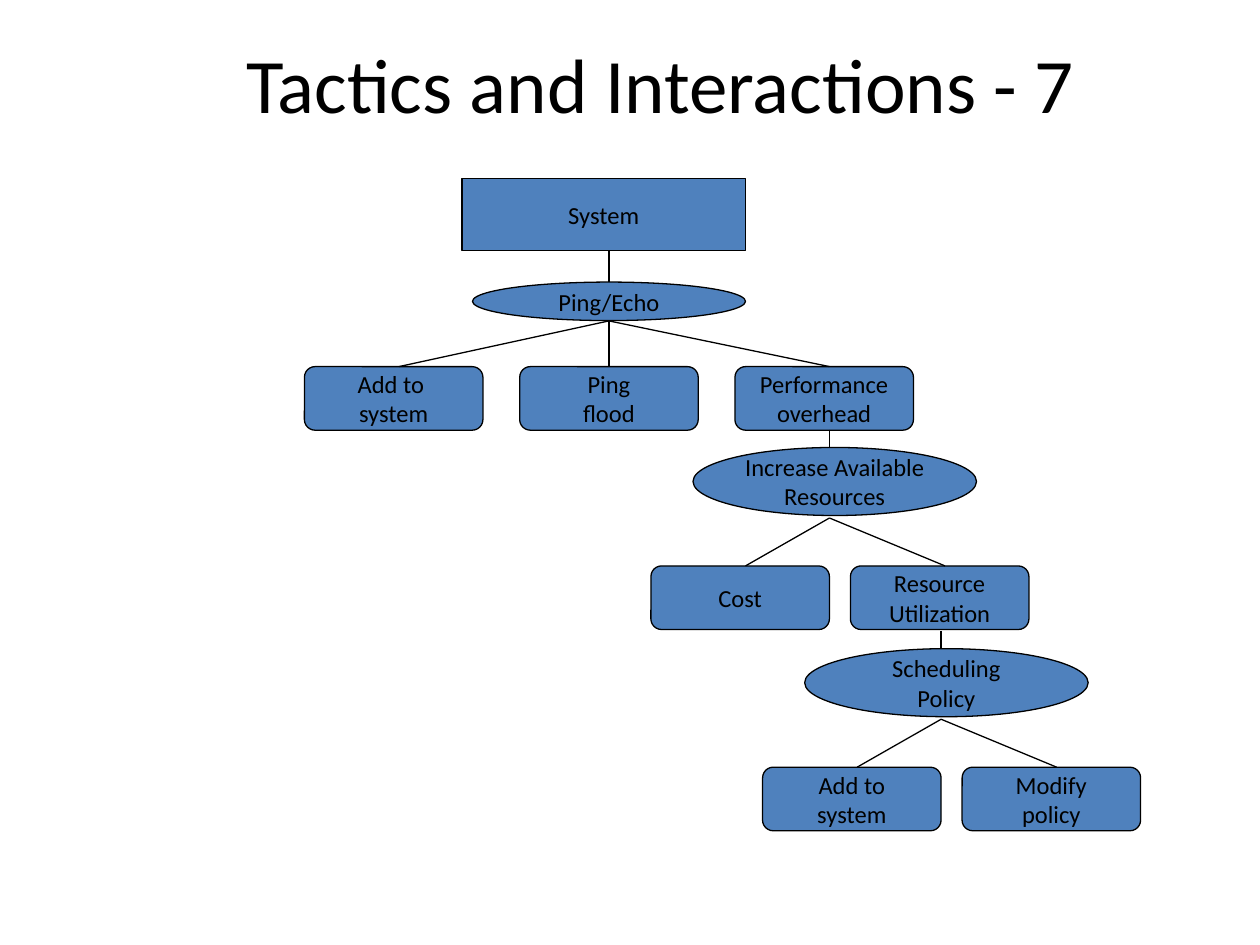
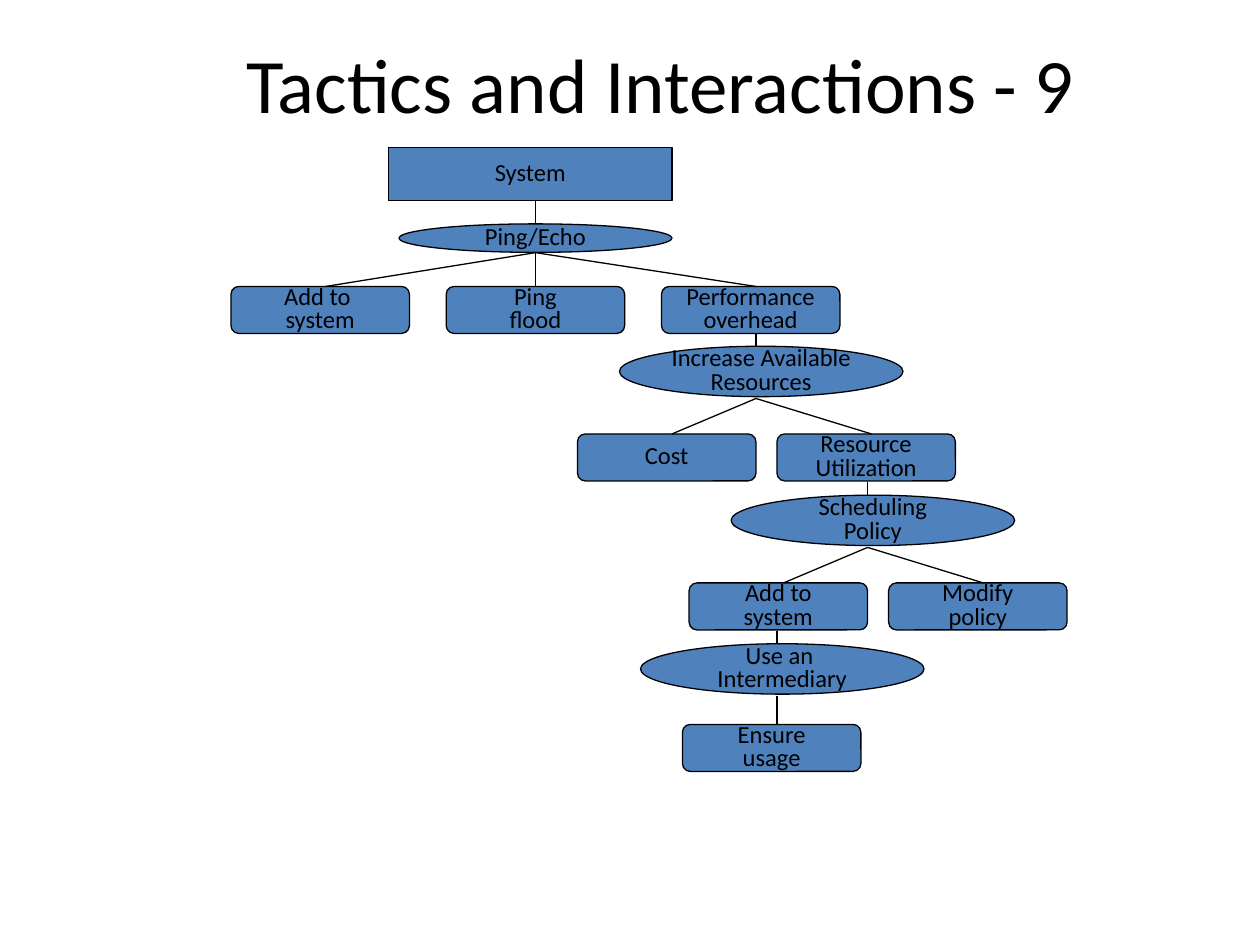
from dataclasses import dataclass
from typing import Any

from lxml import etree
from pptx import Presentation
from pptx import util as u
from pptx.dml import color as c
from pptx.enum import shapes as s, text as t
from pptx.oxml import ns

# Shared look
FONT, INK, BLUE = "Calibri", "000000", "4F81BD"
RECT = s.MSO_SHAPE.RECTANGLE
OVAL = s.MSO_SHAPE.OVAL
ROUND = s.MSO_SHAPE.ROUNDED_RECTANGLE

# Offsets of two children from the stem above them: (box left, line end)
LEFT, RIGHT, BELOW = (-102, -48), (12, 66), (-54, 0)


def rgb(code):
    return c.RGBColor.from_string(code)


def write(frame, words, size=14, color=INK, gap=1.0, wrap=False):
    frame.word_wrap = wrap
    frame.auto_size = t.MSO_AUTO_SIZE.NONE
    frame.vertical_anchor = t.MSO_ANCHOR.MIDDLE
    for i, line in enumerate(words.split("\n")):
        par = frame.add_paragraph() if i else frame.paragraphs[0]
        par.alignment = t.PP_ALIGN.CENTER
        par.line_spacing = gap
        run = par.add_run()
        run.text = line
        run.font.name, run.font.size = FONT, u.Pt(size)
        run.font.color.rgb = rgb(color)


@dataclass
class Tree:
    """A tactic tree; x and y count from the corner of its root box."""
    group: Any
    left: float
    top: float
    scale: float = 1.0
    gap: float = 1.0

    def place(self, x, y):
        return u.Pt(self.left + x), u.Pt(self.top + y * self.scale)

    def node(self, kind, x, y, wide, high, words):
        box = self.group.add_shape(kind, *self.place(x, y), u.Pt(wide),
                                   u.Pt(high * self.scale))
        box.shadow.inherit = False
        box.fill.solid()
        box.fill.fore_color.rgb = rgb(BLUE)
        box.line.color.rgb = rgb(INK)
        box.line.width = u.Pt(0.75)
        write(box.text_frame, words, gap=self.gap)

    def link(self, x1, y1, x2, y2):
        line = self.group.add_connector(s.MSO_CONNECTOR.STRAIGHT,
                                        *self.place(x1, y1), *self.place(x2, y2))
        line.line.color.rgb = rgb(INK)
        line.line.width = u.Pt(0.75)
        etree.SubElement(line._element.spPr, ns.qn("a:effectLst"))

    def fork(self, x, y, drop, kids):
        """Boxes in a row, each joined to the point (x, y)."""
        for (left, end), words in kids:
            self.node(ROUND, x + left, y + drop, 102, 36.3, words)
            self.link(x, y, x + end, y + drop)

    def root(self):
        self.node(RECT, 0, 0, 162, 41, "System")
        self.link(84, 41, 84, 59)
        self.node(OVAL, 6, 59, 156, 22, "Ping/Echo")
        self.fork(84, 81.2, 26.1, [((-174, -120), "Add to \nsystem"),
                                   ((-51, 0), "Ping\nflood"),
                                   ((72, 126), "Performance\noverhead")])

    def stage(self, x, y, tactic, kids, drop=27.4):
        """A tactic hanging from (x, y) and its side effects."""
        self.link(x, y, x, y + 29)
        self.node(OVAL, x - 78, y + 10.2, 162, 38.9, tactic)
        self.fork(x, y + 50.5, drop, kids)

    def common(self):
        self.root()
        self.stage(210, 143.3, "Increase Available\nResources",
                   [(LEFT, "Cost"), (RIGHT, "Resource\nUtilization")])
        self.stage(273.8, 258.3, "Scheduling\nPolicy",
                   [(LEFT, "Add to\nsystem"), (RIGHT, "Modify\npolicy")])


def start(deck, number):
    """A titled slide; gives the group that holds its tree."""
    slide = deck.slides.add_slide(deck.slide_layouts[5])
    head = slide.shapes.title
    head.left, head.top = u.Pt(70.8), u.Pt(21.6)
    head.width, head.height = u.Pt(613.2), u.Pt(61.2)
    write(head.text_frame, f"Tactics and Interactions - {number}",
          size=44, gap=0.8, wrap=True)
    return slide.shapes.add_group_shape().shapes


def main():
    deck = Presentation()
    deck.slide_width, deck.slide_height = u.Pt(720), u.Pt(540)

    # Tree with three tactics
    Tree(start(deck, 7), 264, 102.2).common()

    # Flatter tree with a fourth tactic
    tree = Tree(start(deck, 9), 222, 84.3, scale=0.74, gap=0.8)
    tree.common()
    tree.stage(222, 373, "Use an \nIntermediary",
               [(BELOW, "Ensure\nusage")], drop=22)

    deck.save("out.pptx")


if __name__ == "__main__":
    main()
